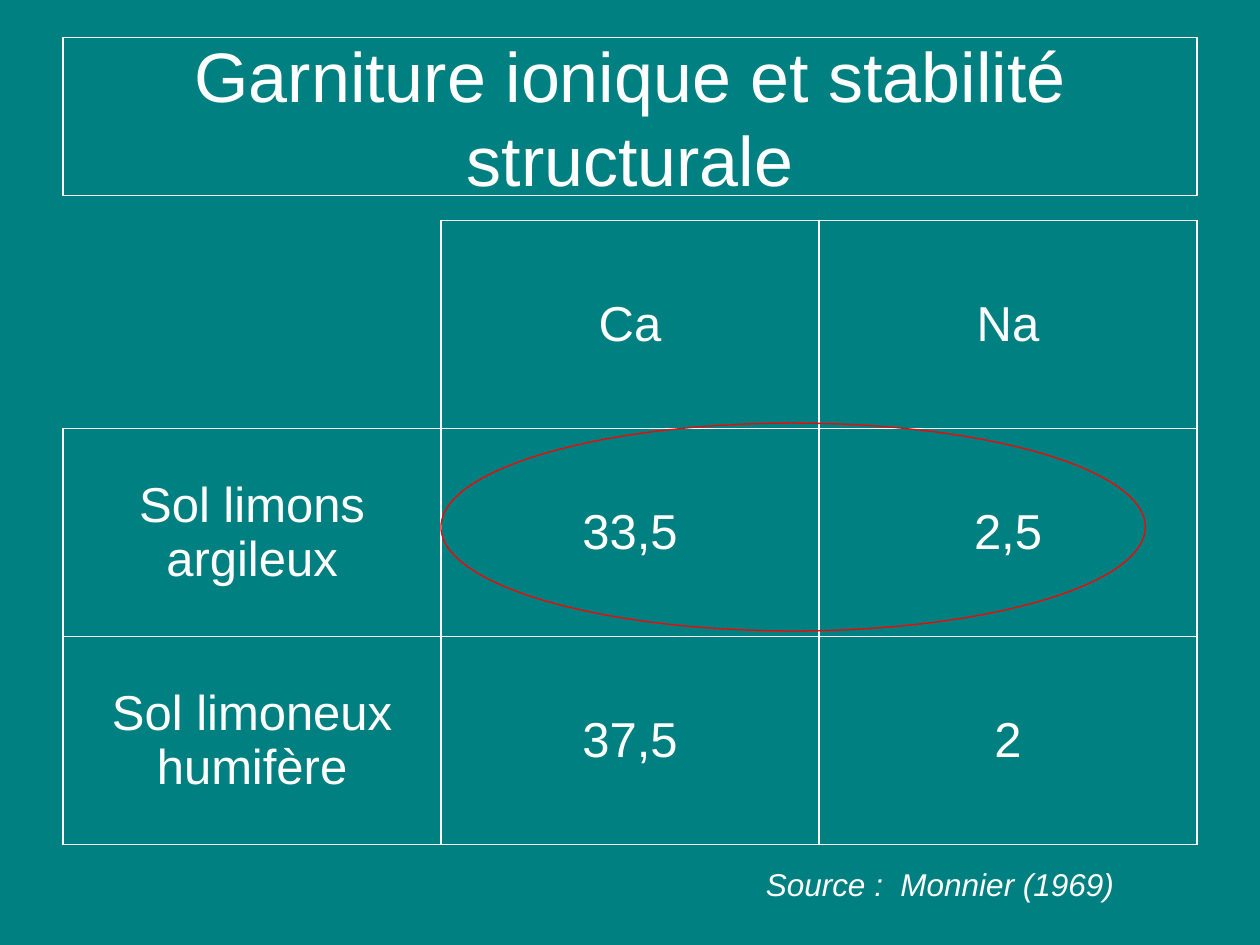
from lxml import etree
from pptx import Presentation
from pptx.dml.color import RGBColor
from pptx.enum.shapes import MSO_SHAPE
from pptx.enum.text import MSO_ANCHOR, PP_ALIGN
from pptx.oxml.ns import qn
from pptx.util import Cm, Pt

RECTANGLE = MSO_SHAPE.RECTANGLE
OVAL = MSO_SHAPE.OVAL
MIDDLE = MSO_ANCHOR.MIDDLE
CENTER = PP_ALIGN.CENTER
WHITE = "FFFFFF"
RED = "FF0000"
TEAL = "008080"


def color(value):
    return RGBColor.from_string(value)


def write(text_frame, text, size, italic=False):
    text_frame.word_wrap = True
    paragraph = text_frame.paragraphs[0]
    paragraph.alignment = CENTER
    run = paragraph.add_run()
    run.text = text
    run.font.name = "Arial"
    run.font.size = Pt(size)
    run.font.italic = italic
    run.font.color.rgb = color(WHITE)


presentation = Presentation()
presentation.slide_width = Cm(25.4)
presentation.slide_height = Cm(19.05)
slide = presentation.slides.add_slide(presentation.slide_layouts[6])
slide.background.fill.solid()
slide.background.fill.fore_color.rgb = color(TEAL)

title = slide.shapes.add_shape(RECTANGLE, Cm(1.27), Cm(0.76), Cm(22.86), Cm(3.18))
title.text_frame.vertical_anchor = MIDDLE
write(title.text_frame, "Garniture ionique et stabilité structurale", 40)

rows = [
    ["", "Ca", "Na"],
    ["Sol limons argileux", "33,5", "2,5"],
    ["Sol limoneux humifère", "37,5", "2"],
]
frame = slide.shapes.add_table(3, 3, Cm(1.27), Cm(4.45), Cm(22.86), Cm(12.57))
table = frame.table
table.first_row = False
table.horz_banding = False
for column in table.columns:
    column.width = Cm(7.62)
for row in table.rows:
    row.height = Cm(4.19)

for row_index, values in enumerate(rows):
    for column_index, value in enumerate(values):
        cell = table.cell(row_index, column_index)
        cell.vertical_anchor = MIDDLE
        if value:
            write(cell.text_frame, value, 28)
        properties = cell._tc.get_or_add_tcPr()
        for side in ("lnL", "lnR", "lnT", "lnB"):
            border = etree.SubElement(properties, qn(f"a:{side}"), w=str(Pt(1)))
            if not value and side in ("lnL", "lnT"):
                etree.SubElement(border, qn("a:noFill"))
            else:
                fill = etree.SubElement(border, qn("a:solidFill"))
                etree.SubElement(fill, qn("a:srgbClr"), val=WHITE)
        cell.fill.background()

highlight = slide.shapes.add_shape(OVAL, Cm(8.89), Cm(8.53), Cm(14.2), Cm(4.19))
for shape, line_color in ((title, WHITE), (highlight, RED)):
    shape.shadow.inherit = False
    shape.fill.background()
    shape.line.color.rgb = color(line_color)
    shape.line.width = Pt(0.75)

source = slide.shapes.add_textbox(Cm(12.5), Cm(17.32), Cm(12.9), Cm(1.02))
write(source.text_frame, "Source :  Monnier (1969)", 18, italic=True)

presentation.save("out.pptx")
